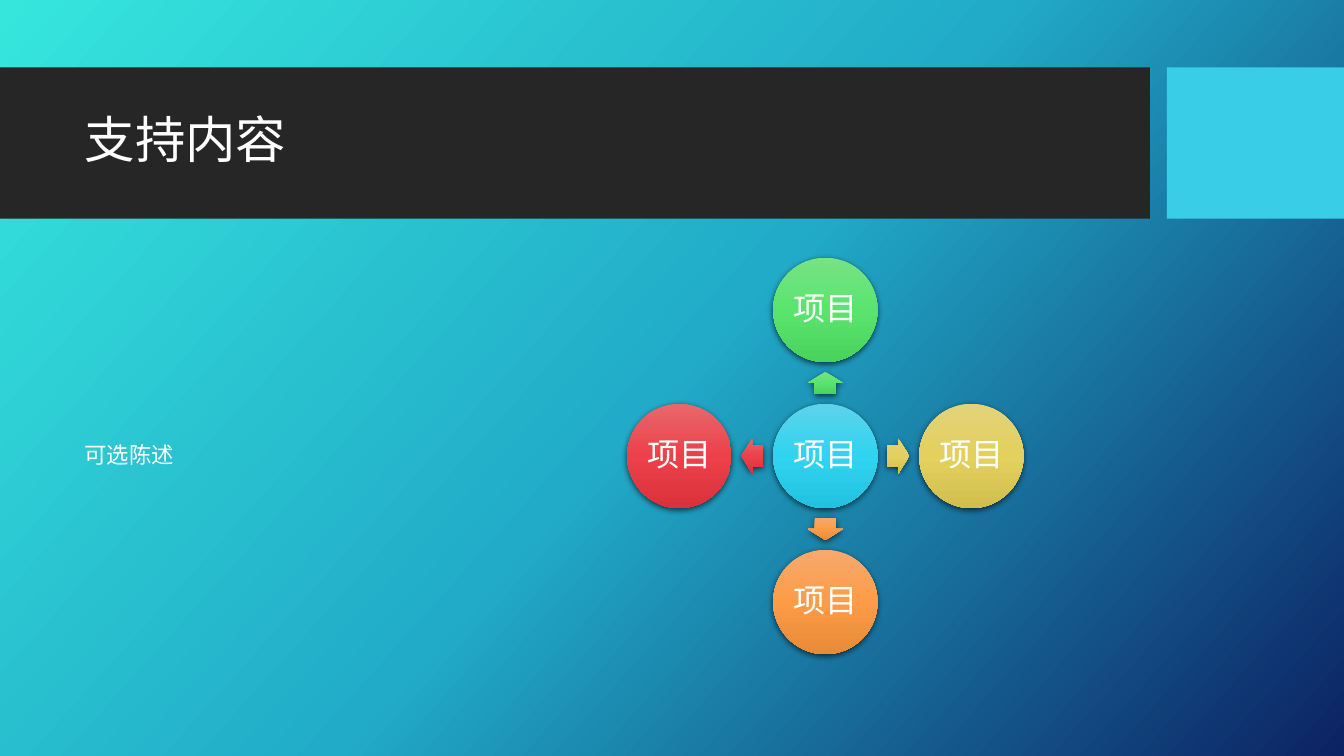
"""Build a support slide: title band, a statement, and a hub with four coloured items."""
from dataclasses import dataclass

from pptx import Presentation
from pptx.dml.color import RGBColor
from pptx.enum.shapes import MSO_SHAPE
from pptx.enum.text import MSO_ANCHOR, PP_ALIGN
from pptx.oxml import parse_xml
from pptx.oxml.ns import nsdecls
from pptx.util import Cm, Pt


@dataclass(frozen=True)
class Theme:
    font: str = "Noto Sans CJK SC"
    text: str = "FFFFFF"
    band: str = "262626"
    accent: str = "39CDE7"
    backdrop: tuple = ("36E6DD", "21ABC8", "0C2263")
    blue: tuple = ("5DD3EB", "30D3F0", "21C2DF")
    green: tuple = ("77E385", "5AE46E", "49D25C")
    yellow: tuple = ("E2D37A", "E3D05E", "D1BE4D")
    orange: tuple = ("F7A96C", "FC9C48", "E98B36")
    red: tuple = ("E9676C", "EC414A", "DA313A")
    title_size: int = 36
    item_size: int = 23
    body_size: int = 16


def gradient(colors, angle):
    stops = "".join(
        f'<a:gs pos="{place * 50000}"><a:srgbClr val="{color}"/></a:gs>'
        for place, color in enumerate(colors)
    )
    return parse_xml(
        f'<a:gradFill {nsdecls("a")} rotWithShape="0"><a:gsLst>{stops}</a:gsLst>'
        f'<a:lin ang="{angle * 60000}" scaled="0"/></a:gradFill>'
    )


def write(box, text, size):
    frame = box.text_frame
    frame.text = text
    frame.word_wrap = True
    frame.vertical_anchor = MSO_ANCHOR.MIDDLE
    para = frame.paragraphs[0]
    para.line_spacing = 0.9
    span = para.runs[0]
    span.font.size = Pt(size)
    span.font.bold = False
    span.font.color.rgb = RGBColor.from_string(theme.text)
    span.font.name = theme.font
    span.font.element.append(
        parse_xml(f'<a:ea {nsdecls("a")} typeface="{theme.font}"/>')
    ) if hasattr(span.font, "element") else span._r.get_or_add_rPr().append(
        parse_xml(f'<a:ea {nsdecls("a")} typeface="{theme.font}"/>')
    )
    return para


theme = Theme()
deck = Presentation()
deck.slide_width, deck.slide_height = Cm(33.87), Cm(19.05)
page = deck.slides.add_slide(deck.slide_layouts[2])
page.background.fill.solid()
backdrop = page.element.cSld.bg.bgPr
backdrop.replace(backdrop[0], gradient(theme.backdrop, 42))

bands = [(0, 28.98, theme.band), (29.41, 4.46, theme.accent)]
for place, (left, width, color) in enumerate(bands):
    band = page.shapes.add_shape(
        MSO_SHAPE.RECTANGLE, Cm(left), Cm(1.7), Cm(width), Cm(3.81)
    )
    band.shadow.inherit = False
    band.fill.solid()
    band.fill.fore_color.rgb = RGBColor.from_string(color)
    band.line.fill.background()
    page.element.cSld.spTree.insert(2 + place, band.element)

title, statement = page.placeholders
title.left, title.top, title.width, title.height = Cm(1.88), Cm(2.08), Cm(26.7), Cm(3)
write(title, "支持内容", theme.title_size)
statement.left, statement.top = Cm(1.88), Cm(6.5)
statement.width, statement.height = Cm(10.52), Cm(10)
write(statement, "可选陈述", theme.body_size).space_before = Pt(10)

hub_x, hub_y, spoke = 20.8, 11.49, 3.68
circle_size, arrow_width, arrow_height = 2.63, 0.56, 0.89
items = [
    (0, 0, None, theme.blue),
    (0, -1, 270, theme.green),
    (1, 0, 0, theme.yellow),
    (0, 1, 90, theme.orange),
    (-1, 0, 180, theme.red),
]
diagram = page.shapes.add_group_shape()
for step_x, step_y, turn, colors in items:
    circle = diagram.shapes.add_shape(
        MSO_SHAPE.OVAL,
        Cm(hub_x + step_x * spoke - circle_size / 2),
        Cm(hub_y + step_y * spoke - circle_size / 2),
        Cm(circle_size),
        Cm(circle_size),
    )
    para = write(circle, "项目", theme.item_size)
    para.alignment = PP_ALIGN.CENTER
    frame = circle.text_frame
    frame.margin_left = frame.margin_right = Cm(0.08)
    frame.margin_top = frame.margin_bottom = Cm(0.08)
    parts = [circle]
    if turn is not None:
        arrow = diagram.shapes.add_shape(
            MSO_SHAPE.RIGHT_ARROW,
            Cm(hub_x + step_x * spoke / 2 - arrow_width / 2),
            Cm(hub_y + step_y * spoke / 2 - arrow_height / 2),
            Cm(arrow_width),
            Cm(arrow_height),
        )
        arrow.rotation = turn
        arrow.adjustments[0] = 0.6
        arrow.adjustments[1] = 0.5
        parts.append(arrow)
    for part in parts:
        properties = part.element.spPr
        properties.append(gradient(colors, 90))
        part.line.fill.background()
        properties.append(parse_xml(
            f'<a:effectLst {nsdecls("a")}><a:outerShdw blurRad="57150" dist="19050" '
            'dir="5400000" algn="ctr" rotWithShape="0"><a:srgbClr val="000000">'
            '<a:alpha val="63000"/></a:srgbClr></a:outerShdw></a:effectLst>'
        ))

deck.save("out.pptx")
